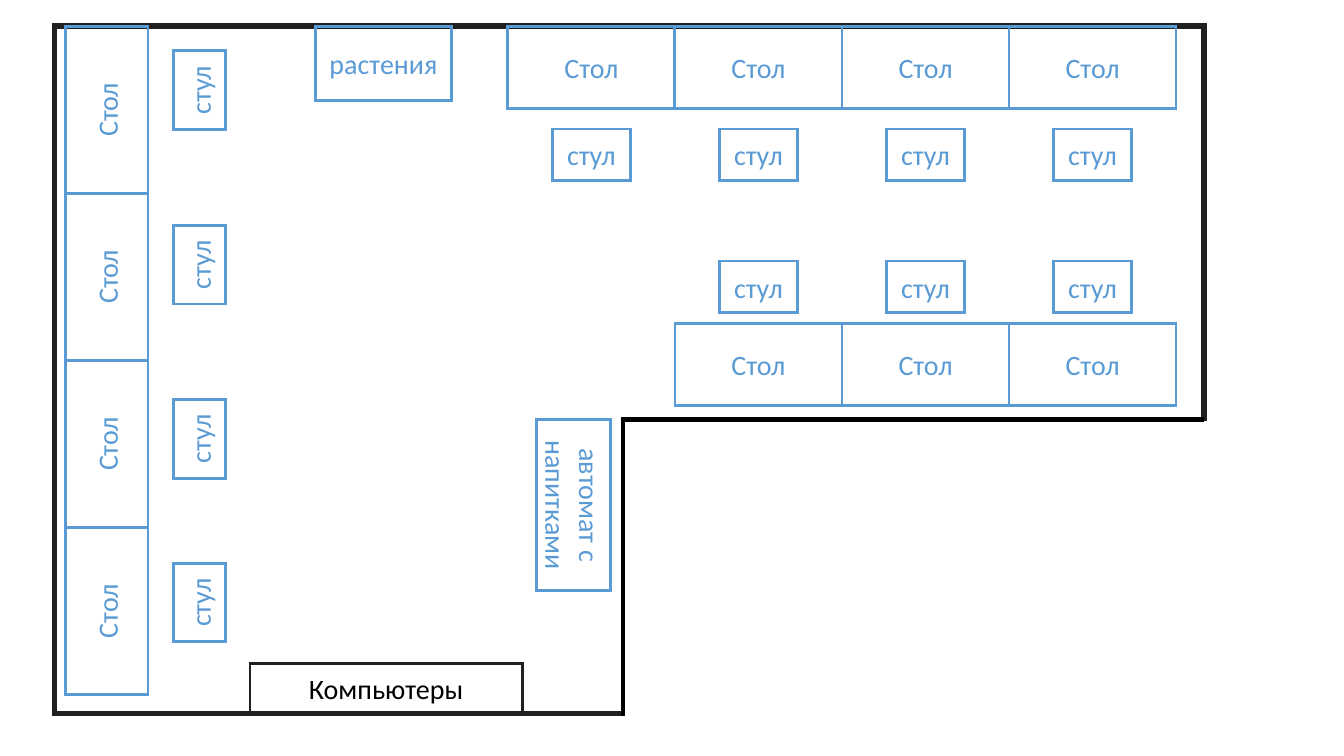
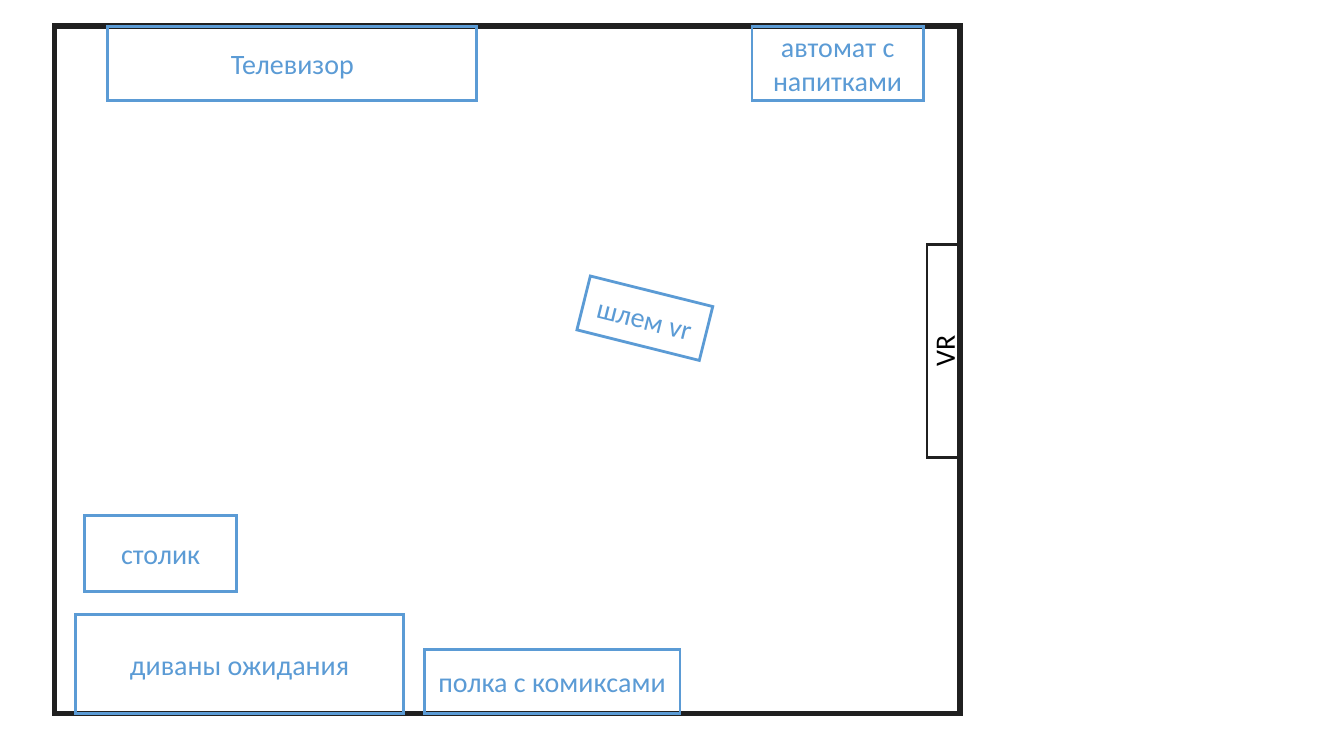
from dataclasses import dataclass

from lxml import etree
from pptx import Presentation
from pptx.dml.color import RGBColor
from pptx.enum.shapes import MSO_SHAPE
from pptx.enum.text import MSO_ANCHOR, PP_ALIGN
from pptx.oxml.ns import qn
from pptx.shapes.autoshape import Shape
from pptx.slide import Slide
from pptx.util import Cm, Pt

RECTANGLE = MSO_SHAPE.RECTANGLE
MIDDLE = MSO_ANCHOR.MIDDLE
CENTER = PP_ALIGN.CENTER

COLORS = {"furniture": "5B9BD5", "wall": "202020", "black": "000000"}
FONT = "Calibri"

ROOM_LEFT, ROOM_TOP, ROOM_BOTTOM = 1.37, 0.66, 17.98
HALL_RIGHT, LOUNGE_RIGHT = 30.35, 24.2
NOTCH_LEFT, NOTCH_TOP = 15.7, 10.57

DESK_LENGTH, DESK_DEPTH = 4.21, 2.08
CHAIR_LENGTH, CHAIR_DEPTH = 1.98, 1.3
MACHINE_LENGTH, MACHINE_DEPTH = 4.32, 1.88
COLUMN_LEFT, COLUMN_CHAIR_LEFT = 1.65, 4.38
COLUMN_CHAIR_TOPS = (1.28, 5.68, 10.07, 14.19)
ROW_LEFT = 12.8

Point = tuple[float, float]


@dataclass(frozen=True)
class Item:
    """A labelled box; width and height are those seen after a quarter turn."""

    label: str
    left: float
    top: float
    width: float
    height: float
    rotation: float = 0
    line: str = "furniture"
    ink: str = "furniture"


def style_outline(shape: Shape, color: str, points: float) -> None:
    shape.shadow.inherit = False
    shape.fill.background()
    shape.line.color.rgb = RGBColor.from_string(COLORS[color])
    shape.line.width = Pt(points)
    outline = shape._element.spPr.find(qn("a:ln"))
    etree.SubElement(outline, qn("a:miter"), lim="800000")


def draw_wall(page: Slide, corners: list[Point], color: str, points: float,
              closed: bool = False) -> None:
    start, *rest = [(Cm(x), Cm(y)) for x, y in corners]
    builder = page.shapes.build_freeform(*start)
    builder.add_line_segments(rest, close=closed)
    style_outline(builder.convert_to_shape(), color, points)


def draw_item(page: Slide, item: Item) -> None:
    width, height = item.width, item.height
    if item.rotation % 180 == 90:
        width, height = height, width
    left = item.left + (item.width - width) / 2
    top = item.top + (item.height - height) / 2
    box = page.shapes.add_shape(RECTANGLE, Cm(left), Cm(top), Cm(width), Cm(height))
    box.rotation = item.rotation
    style_outline(box, item.line, 2)
    frame = box.text_frame
    frame.word_wrap = True
    frame.vertical_anchor = MIDDLE
    para = frame.paragraphs[0]
    para.alignment = CENTER
    span = para.add_run()
    span.text = item.label
    span.font.name = FONT
    span.font.size = Pt(20)
    span.font.color.rgb = RGBColor.from_string(COLORS[item.ink])


def desk_row(first: int, desk_top: float, chair_top: float) -> list[Item]:
    items = []
    for index in range(first, 4):
        left = ROW_LEFT + index * DESK_LENGTH
        chair_left = left + (DESK_LENGTH - CHAIR_LENGTH) / 2
        items += [
            Item("Стол", left, desk_top, DESK_LENGTH, DESK_DEPTH),
            Item("стул", chair_left, chair_top, CHAIR_LENGTH, CHAIR_DEPTH),
        ]
    return items


def desk_column() -> list[Item]:
    items = []
    for index, chair_top in enumerate(COLUMN_CHAIR_TOPS):
        desk_top = ROOM_TOP + index * DESK_LENGTH
        items += [
            Item("Стол", COLUMN_LEFT, desk_top, DESK_DEPTH, DESK_LENGTH, 270),
            Item("стул", COLUMN_CHAIR_LEFT, chair_top, CHAIR_DEPTH, CHAIR_LENGTH, 270),
        ]
    return items


def build_hall(page: Slide) -> None:
    draw_wall(page, [(NOTCH_LEFT, ROOM_BOTTOM), (ROOM_LEFT, ROOM_BOTTOM),
                     (ROOM_LEFT, ROOM_TOP), (HALL_RIGHT, ROOM_TOP),
                     (HALL_RIGHT, NOTCH_TOP + 0.05)], "wall", 4)
    draw_wall(page, [(HALL_RIGHT, NOTCH_TOP), (NOTCH_LEFT, NOTCH_TOP),
                     (NOTCH_LEFT, ROOM_BOTTOM + 0.07)], "black", 3)
    items = [
        Item("Компьютеры", 6.3, 16.71, 6.86, 1.27, line="wall", ink="black"),
        *desk_column(),
        Item("автомат с напитками", 13.51, NOTCH_TOP, MACHINE_DEPTH, MACHINE_LENGTH, 90),
        *desk_row(1, 8.15, 6.58),
        *desk_row(0, ROOM_TOP, 3.25),
        Item("растения", 7.95, ROOM_TOP, 3.43, 1.88),
    ]
    for item in items:
        draw_item(page, item)


def build_lounge(page: Slide) -> None:
    draw_wall(page, [(ROOM_LEFT, ROOM_TOP), (LOUNGE_RIGHT, ROOM_TOP),
                     (LOUNGE_RIGHT, ROOM_BOTTOM), (ROOM_LEFT, ROOM_BOTTOM)],
              "wall", 4, closed=True)
    items = [
        Item("Телевизор", 2.72, ROOM_TOP, 9.3, 1.88),
        Item("столик", 2.13, 13.0, 3.84, 1.9),
        Item("полка с комиксами", 10.69, 16.36, 6.45, 1.62),
        Item("шлем vr", 14.66, 7.32, 3.18, 1.4, 14),
        Item("диваны ожидания", 1.9, 15.49, 8.28, 2.49),
        Item("VR", 23.36, 6.17, 0.84, 5.36, 270, "wall", "black"),
        Item("автомат с напитками", 18.95, ROOM_TOP, MACHINE_LENGTH, MACHINE_DEPTH),
    ]
    for item in items:
        draw_item(page, item)


def main() -> None:
    deck = Presentation()
    deck.slide_width, deck.slide_height = Cm(33.87), Cm(19.05)
    blank = deck.slide_layouts[6]
    for build in (build_hall, build_lounge):
        build(deck.slides.add_slide(blank))
    deck.save("out.pptx")


if __name__ == "__main__":
    main()
